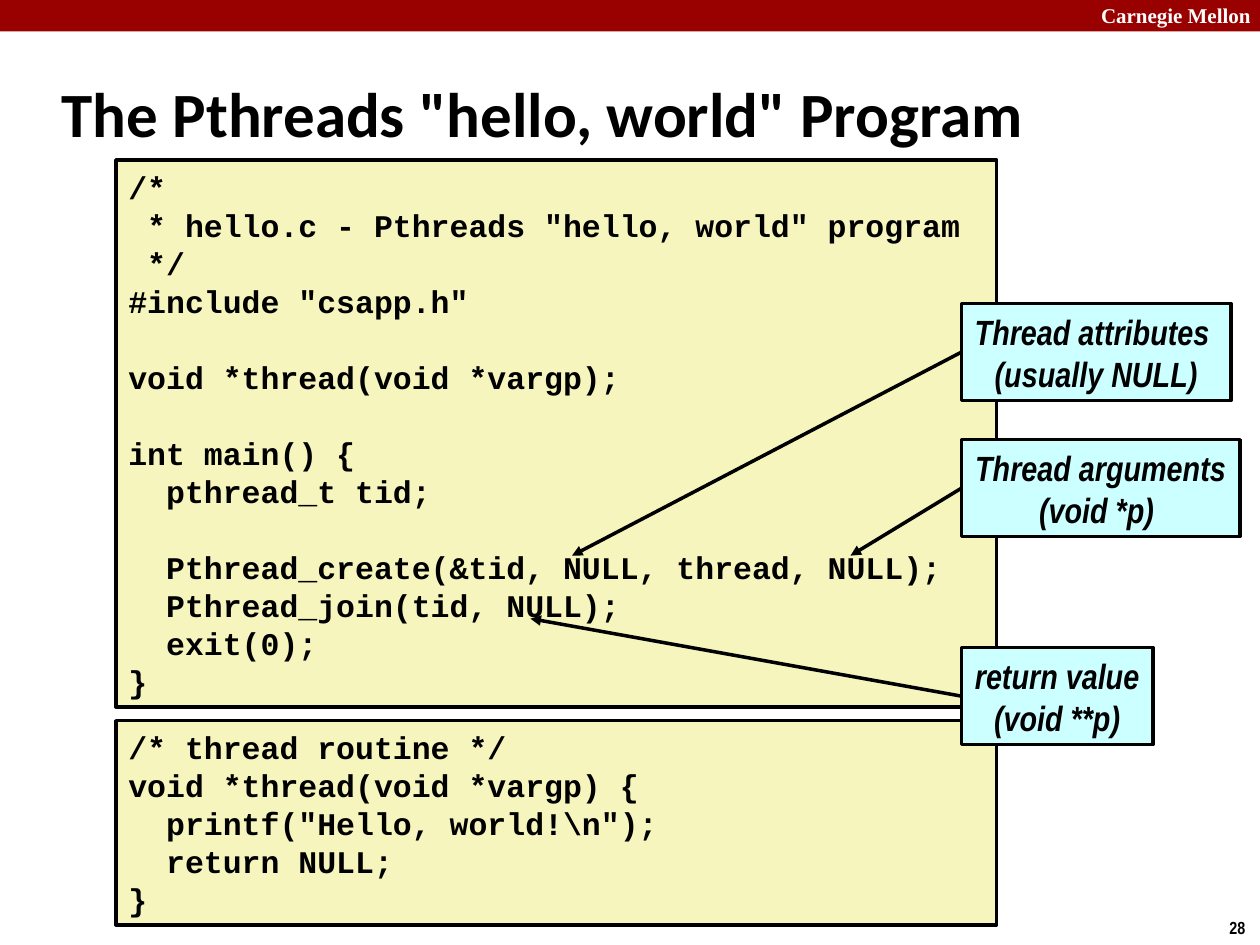
from dataclasses import dataclass

import pptx
import pptx.dml.color
import pptx.enum.shapes
import pptx.enum.text
import pptx.oxml
import pptx.oxml.ns
import pptx.util
from pptx.util import Inches, Pt

ANCHOR = pptx.enum.text.MSO_ANCHOR
ALIGN = pptx.enum.text.PP_ALIGN
BLACK, WHITE = "000000", "FFFFFF"
CARDINAL, CODE_YELLOW, NOTE_CYAN = "990000", "F6F5BD", "CCFFFF"


@dataclass
class Style:
    font: str
    size: float
    color: str = BLACK
    italic: bool = False
    leading: float | None = None
    align: ALIGN = ALIGN.LEFT
    anchor: ANCHOR = ANCHOR.MIDDLE
    wrap: bool = True


@dataclass
class Block:
    text: str
    left: float
    top: float
    width: float
    height: float


@dataclass
class Note:
    block: Block
    target: tuple[float, float]


HEADER = Style("Times New Roman", 12, WHITE, anchor=ANCHOR.TOP)
NUMBER = Style("Arial Narrow", 10, anchor=ANCHOR.TOP, wrap=False)
TITLE = Style("Calibri", 36)
CODE = Style("Courier New", 18, leading=21.7)
NOTE = Style("Arial Narrow", 20, italic=True, leading=24, align=ALIGN.CENTER, wrap=False)

MAIN_CODE = r"""/*
 * hello.c - Pthreads "hello, world" program
 */
#include "csapp.h"

void *thread(void *vargp);

int main() {
  pthread_t tid;

  Pthread_create(&tid, NULL, thread, NULL);
  Pthread_join(tid, NULL);
  exit(0);
}"""

THREAD_CODE = r"""/* thread routine */
void *thread(void *vargp) {
  printf("Hello, world!\n");
  return NULL;
}"""

LISTINGS = [
    Block(THREAD_CODE, 0.92, 5.72, 6.99, 1.62),
    Block(MAIN_CODE, 0.92, 1.27, 6.99, 4.34),
]
NOTES = [
    Note(Block("Thread attributes \n(usually NULL)", 7.63, 2.41, 2.14, 0.77), (4.54, 4.41)),
    Note(Block("Thread arguments\n(void *p) ", 7.63, 3.49, 2.21, 0.77), (6.75, 4.41)),
    Note(Block("return value\n(void **p)", 7.63, 5.14, 1.52, 0.77), (4.21, 4.91)),
]


def rgb(color: str) -> pptx.dml.color.RGBColor:
    return pptx.dml.color.RGBColor.from_string(color)


def bounds(block: Block) -> list[int]:
    return [Inches(n) for n in (block.left, block.top, block.width, block.height)]


def write(shape, text: str, style: Style) -> None:
    frame = shape.text_frame
    frame.text = text
    frame.word_wrap = style.wrap
    frame.vertical_anchor = style.anchor
    for paragraph in frame.paragraphs:
        paragraph.alignment = style.align
        if style.leading:
            paragraph.line_spacing = Pt(style.leading)
        for run in paragraph.runs:
            run.font.name = style.font
            run.font.size = Pt(style.size)
            run.font.bold = True
            run.font.italic = style.italic
            run.font.color.rgb = rgb(style.color)


def add_label(slide, block: Block, style: Style) -> None:
    write(slide.shapes.add_textbox(*bounds(block)), block.text, style)


def add_panel(slide, block: Block, fill: str, outline: str | None = BLACK):
    panel = slide.shapes.add_shape(
        pptx.enum.shapes.MSO_SHAPE.RECTANGLE, *bounds(block))
    panel.shadow.inherit = False
    panel.fill.solid()
    panel.fill.fore_color.rgb = rgb(fill)
    if outline:
        panel.line.color.rgb = rgb(outline)
        panel.line.width = Pt(2)
    else:
        panel.line.fill.background()
    return panel


def add_arrow(slide, panel, target: tuple[float, float]) -> None:
    x, y = (Inches(n) for n in target)
    arrow = slide.shapes.add_connector(
        pptx.enum.shapes.MSO_CONNECTOR.STRAIGHT, x, y, x, y)
    arrow.begin_connect(panel, 1)
    arrow.line.color.rgb = rgb(BLACK)
    arrow.line.width = Pt(2)
    namespace = pptx.oxml.ns.nsdecls("a")
    arrow.line._get_or_add_ln().append(
        pptx.oxml.parse_xml(f'<a:tailEnd {namespace} type="triangle"/>'))
    arrow._element.spPr.append(pptx.oxml.parse_xml(f"<a:effectLst {namespace}/>"))


def main() -> None:
    deck = pptx.Presentation()
    deck.slide_width, deck.slide_height = Inches(10), Inches(7.5)
    slide = deck.slides.add_slide(deck.slide_layouts[6])

    add_panel(slide, Block("", 0, 0, 10, 0.25), CARDINAL, None)
    add_label(slide, Block("Carnegie Mellon", 8.64, -0.03, 1.43, 0.3), HEADER)
    add_label(slide, Block("28", 9.66, 7.23, 0.34, 0.27), NUMBER)
    add_label(slide, Block('The Pthreads "hello, world" Program', 0.39, 0.48, 8.3, 0.83), TITLE)

    for listing in LISTINGS:
        write(add_panel(slide, listing, CODE_YELLOW), listing.text, CODE)
    for note in NOTES:
        panel = add_panel(slide, note.block, NOTE_CYAN)
        write(panel, note.block.text, NOTE)
        add_arrow(slide, panel, note.target)

    deck.save("out.pptx")


if __name__ == "__main__":
    main()
